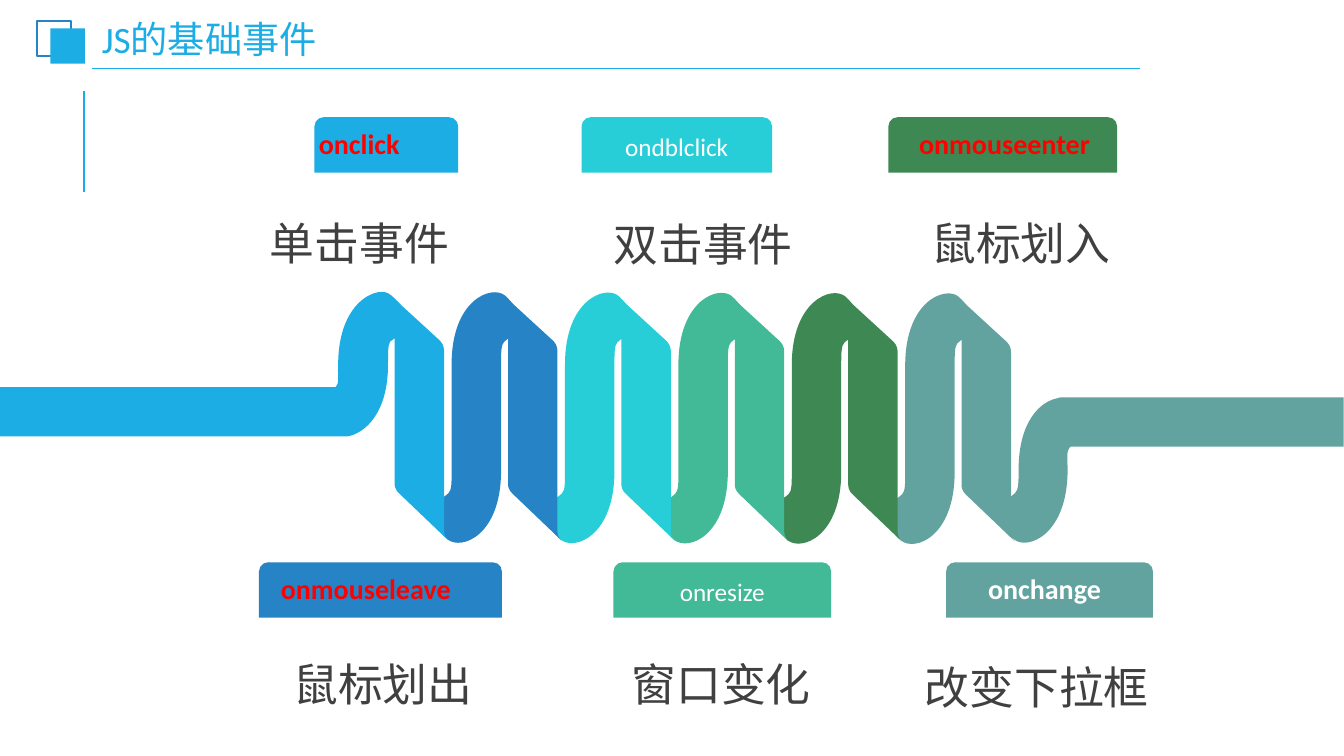
import pptx
import pptx.util
import pptx.dml.color
import pptx.enum.shapes
import pptx.enum.text
from pptx.oxml.ns import qn
from lxml import etree
from dataclasses import dataclass

Pt = pptx.util.Pt
Shape = pptx.enum.shapes.MSO_SHAPE
Align = pptx.enum.text.PP_ALIGN
Anchor = pptx.enum.text.MSO_ANCHOR


@dataclass(frozen=True)
class Theme:
    font: str = "Calibri"
    sky: str = "1CADE4"
    blue: str = "2683C6"
    cyan: str = "27CED7"
    mint: str = "42BA97"
    green: str = "3E8853"
    teal: str = "62A39F"
    white: str = "FFFFFF"
    red: str = "FF0000"
    grey: str = "404040"
    title: float = 26.6
    event: int = 20
    plain: int = 18
    note: int = 32


theme = Theme()
TITLE = "JS的基础事件"

# name, fill, tab left, tab width, label box (left, width) or None, label colour, align
TOP_TABS = [
    ("onclick", theme.sky, 224.6, 102.7, (220.7, 100), theme.red, Align.LEFT),
    ("ondblclick", theme.cyan, 415.4, 136.1, None, theme.white, Align.CENTER),
    ("onmouseenter", theme.green, 634.6, 163.4, (635.8, 163.4), theme.red, Align.CENTER),
]
LOW_TABS = [
    ("onmouseleave", theme.blue, 185, 173.5, (193.5, 164.9), theme.red, Align.LEFT),
    ("onresize", theme.mint, 438.2, 155.5, None, theme.white, Align.CENTER),
    ("onchange", theme.teal, 675.8, 147.8, (681.3, 129.6), theme.white, Align.CENTER),
]
TAB_ROWS = [(83.7, TOP_TABS), (401.6, LOW_TABS)]

NOTES = [
    ("单击事件", 162.4, 139), ("双击事件", 408, 139.9), ("鼠标划入", 635, 139),
    ("鼠标划出", 179.3, 454.3), ("窗口变化", 420.8, 454.3), ("改变下拉框", 646.3, 455.8),
]

# Coil outlines, relative to the cell: pairs are corners, sixes are cubic curves
COIL = [theme.sky, theme.blue, theme.cyan, theme.mint, theme.green, theme.teal]
CELL_X, CELL_Y, PITCH, DRIFT = 241.6, 208.8, 81, 0.2
BEND = [
    (35.3, 127.4), (35.3, 51.8),
    (35.3, 43.2, 35.3, 37.4, 37.4, 35.3), (43.9, 28.8, 50.4, 32.4, 51.8, 27.4),
    (54, 20.9, 43.9, 7.2, 38.2, 2.2), (28.8, -5.8, 0, 5, 0, 51.1),
    (0, 127.4),
    (0, 136.1, 0, 141.1, -2.2, 143.3), (-8.6, 149.8, -15.1, 146.9, -16.6, 151.2),
    (-18.7, 157.7, -8.6, 171.4, -2.9, 176.4), (7.2, 184.3, 35.3, 173.5, 35.3, 127.4),
]
SLANT = [
    (75.6, 170.6), (75.6, 42.5), (75.6, 41, 75.6, 37.4, 72.7, 34.6),
    (37.4, 2.2), (38.2, 2.2, 40.3, 5, 40.3, 8.6),
    (40.3, 136.8), (40.3, 137.5, 40.3, 141.1, 43.9, 144),
    (78.5, 177.1), (77.8, 176.4, 75.6, 174.2, 75.6, 170.6),
]
HEAD = [
    (28.4, 0), (32, -0.7, 35.6, 0, 37.8, 2.2),
    (44.3, 7.2, 54.4, 20.9, 52.2, 27.4), (50.8, 32.4, 44.3, 28.8, 37.1, 35.3),
    (35.6, 37.4, 35.6, 43.2, 35.6, 51.8), (35.6, 86.4, 19.1, 100.8, 6.5, 103),
    (-241.6, 103), (-241.6, 67.7), (-1.8, 67.7), (-0.4, 65.5),
    (0.4, 62.6, -0.4, 57.6, 0, 51.8), (0, 17.3, 16.2, 2.2, 28.4, 0),
]
TAIL = [
    (32, 73.8), (232.2, 73.8), (232.2, 109.1), (37.1, 109.1), (36.4, 109.8),
    (34.2, 112, 34.9, 117, 35, 125.6), (35, 172.4, 6.1, 183.2, -3.2, 175.3),
    (-9, 170.3, -19.1, 156.6, -16.9, 150.1), (-15.5, 145.8, -9, 148.7, -2.5, 142.2),
    (0, 140, 0, 134.3, 0, 125.6), (0, 91.1, 15.5, 76.7, 27.7, 74.5),
    (28.8, 73.8, 30.2, 73.8, 32, 73.8),
]


def tint(code):
    return pptx.dml.color.RGBColor.from_string(code)


def paint(shape, fill):
    shape.shadow.inherit = False
    shape.fill.solid()
    shape.fill.fore_color.rgb = tint(fill)
    shape.line.fill.background()


def write(shape, text, size, color, align, bold=False, space=None):
    frame = shape.text_frame
    frame.text = text
    frame.word_wrap = True
    para = frame.paragraphs[0]
    para.alignment = align
    para.line_spacing = space
    font = para.runs[0].font
    font.name, font.size, font.bold = theme.font, Pt(size), bold
    font.color.rgb = tint(color)


def add_label(slide, box, *style, **more):
    write(slide.shapes.add_textbox(*map(Pt, box)), *style, **more)


def add_rule(slide, ends, width):
    kind = pptx.enum.shapes.MSO_CONNECTOR.STRAIGHT
    rule = slide.shapes.add_connector(kind, *map(Pt, ends))
    rule.line.color.rgb = tint(theme.sky)
    rule.line.width = Pt(width)
    etree.SubElement(rule._element.spPr, qn("a:effectLst"))


def bend_lines(shape, path):
    """Join each three lines that stand for a cubic curve into that curve."""
    lines = iter(list(shape._element.iter(qn("a:lnTo"))))
    for part in path[1:]:
        first = next(lines)
        if len(part) == 6:
            first.tag = qn("a:cubicBezTo")
            for _ in range(2):
                other = next(lines)
                first.append(other[0])
                other.getparent().remove(other)


def add_band(slide, path, cell, fill):
    left, top = CELL_X + cell * PITCH, CELL_Y + cell * DRIFT
    dots = [(Pt(left + part[i]), Pt(top + part[i + 1]))
            for part in path for i in range(0, len(part), 2)]
    pen = slide.shapes.build_freeform(*dots[0])
    pen.add_line_segments(dots[1:], close=True)
    band = pen.convert_to_shape()
    bend_lines(band, path)
    paint(band, fill)


def add_header(slide):
    add_rule(slide, (59.8, 136.8, 59.8, 64.8), 1.5)
    add_rule(slide, (66, 49, 814.3, 49), 1.25)
    frame, block = [
        slide.shapes.add_shape(Shape.RECTANGLE, Pt(x), Pt(y), Pt(24.6), Pt(25.2))
        for x, y in ((26.4, 15.1), (36, 20.2))]
    paint(block, theme.sky)
    frame.shadow.inherit = False
    frame.fill.background()
    frame.line.color.rgb = tint(theme.blue)
    frame.line.width = Pt(1.5)
    title = slide.shapes.title
    title.left, title.top, title.width, title.height = map(Pt, (67.7, 16.6, 283, 26.6))
    write(title, TITLE, theme.title, theme.sky, Align.LEFT, space=0.9)
    area = title.text_frame
    area.vertical_anchor = Anchor.MIDDLE
    area.margin_left = area.margin_right = Pt(5)
    area.margin_top = area.margin_bottom = Pt(2.9)


def add_coil(slide):
    last = len(COIL)
    add_band(slide, TAIL, last, COIL[-1])
    for cell in reversed(range(last)):
        add_band(slide, BEND if cell else HEAD, cell, COIL[cell])
        add_band(slide, SLANT, cell, COIL[cell])


def add_tabs(slide):
    for top, tabs in TAB_ROWS:
        for name, fill, left, width, box, color, align in tabs:
            tab = slide.shapes.add_shape(
                Shape.ROUND_2_SAME_RECTANGLE, Pt(left), Pt(top), Pt(width), Pt(39.6))
            paint(tab, fill)
            if box:
                add_label(slide, (box[0], top + 3.4, box[1], 31.7),
                          name, theme.event, color, align, bold=True)
            else:
                write(tab, name, theme.plain, color, align)
                tab.text_frame.vertical_anchor = Anchor.MIDDLE


def main():
    deck = pptx.Presentation()
    deck.slide_width, deck.slide_height = Pt(960), Pt(540)
    slide = deck.slides.add_slide(deck.slide_layouts.get_by_name("Title Only"))
    add_header(slide)
    add_coil(slide)
    add_tabs(slide)
    for text, left, top in NOTES:
        add_label(slide, (left, top, 188.6, 54), text, theme.note, theme.grey,
                  Align.CENTER, space=1.3)
    deck.save("out.pptx")


if __name__ == "__main__":
    main()
